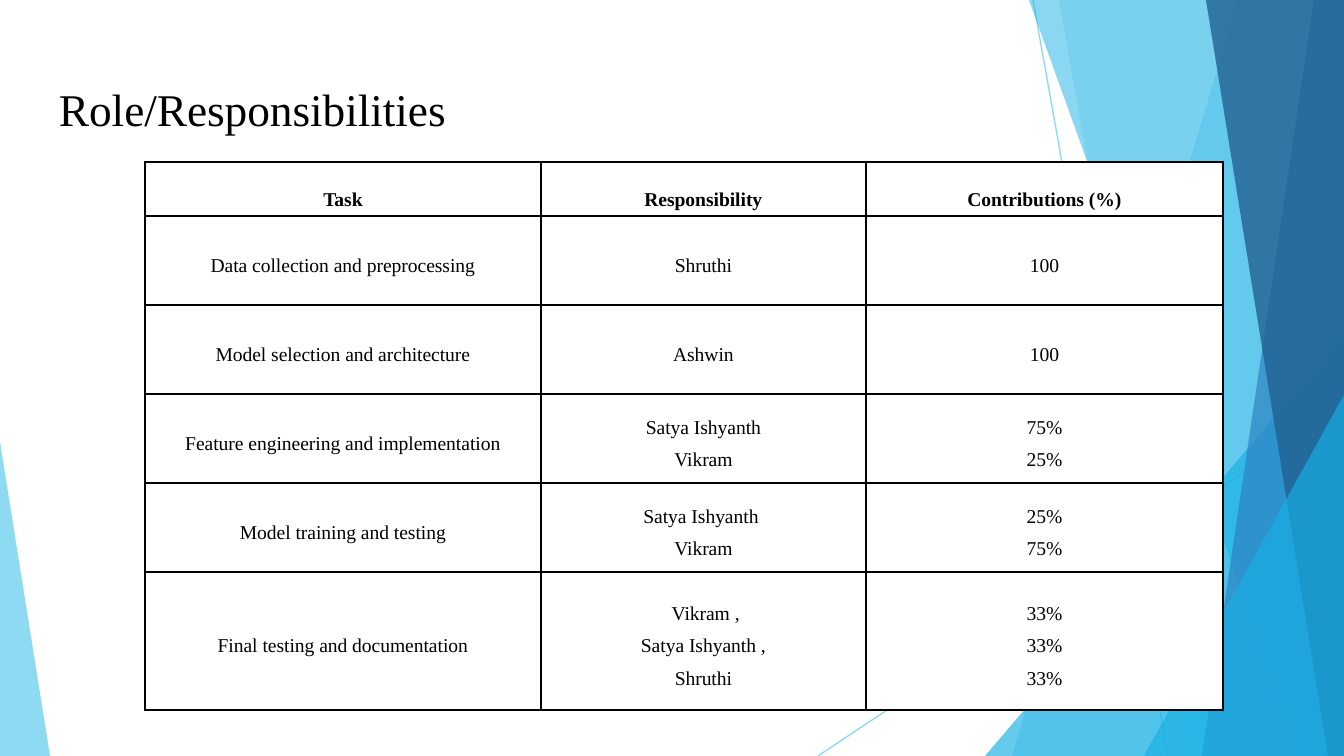
from pptx import Presentation
from pptx.dml.color import RGBColor
from pptx.enum.shapes import MSO_CONNECTOR, MSO_SHAPE
from pptx.enum.text import MSO_ANCHOR, PP_ALIGN
from pptx.oxml import parse_xml
from pptx.oxml.ns import nsdecls, qn
from pptx.util import Pt

SCALE = 914400 / 134.4
FONT = "Times New Roman"
SKY, CYAN, BLUE, NAVY = "5FCBEF", "17B0E4", "2E83C3", "226292"


def px(num):
    return round(num * SCALE)


def paint(fill, code, alpha=100):
    fill.solid()
    fill.fore_color.rgb = RGBColor.from_string(code)
    if alpha < 100:
        tint = fill._xPr.find(qn("a:solidFill"))[0]
        tint.append(parse_xml(f'<a:alpha {nsdecls("a")} val="{alpha * 1000}"/>'))


def style(para, size, bold=False):
    for run in para.runs:
        run.font.name = FONT
        run.font.size = Pt(size)
        run.font.bold = bold
        run.font.color.rgb = RGBColor.from_string("000000")


def finish(shape, code, alpha):
    paint(shape.fill, code, alpha)
    shape.line.fill.background()
    shape.shadow.inherit = False


def ray(slide, x1, y1, x2, y2):
    line = slide.shapes.add_connector(
        MSO_CONNECTOR.STRAIGHT, px(x1), px(y1), px(x2), px(y2))
    line.line.width = Pt(0.75)
    paint(line.line.fill, SKY, 70)
    line._element.spPr.append(parse_xml(f'<a:effectLst {nsdecls("a")}/>'))


def facet(slide, box, top, base, code, alpha):
    x, y, w, h = box
    form = slide.shapes.build_freeform(px(x + top), px(y), scale=1.0)
    form.add_line_segments([(px(a), px(b)) for a, b in (
        (x + w, y), (x + w, y + h), (x + base, y + h))])
    finish(form.convert_to_shape(), code, alpha)


def wedge(slide, x, y, w, h, apex, code, alpha):
    shape = slide.shapes.add_shape(
        MSO_SHAPE.ISOSCELES_TRIANGLE, px(x), px(y), px(w), px(h))
    shape.adjustments[0] = apex
    finish(shape, code, alpha)


def decor(slide, box):
    x, y, w, h = box
    ray(slide, x + 1033, y, x + 1168, y + h)
    ray(slide, x + w, y + 406, x + 818, y + h)
    facet(slide, box, 1238, 1012, SKY, 36)
    facet(slide, box, 1059, 1192, SKY, 20)
    wedge(slide, x + 985, y + 336, w - 985, h - 336, 1, CYAN, 66)
    facet(slide, box, 1029, 1301, CYAN, 50)
    facet(slide, box, 1314, 1202, BLUE, 70)
    facet(slide, box, 1206, 1328, NAVY, 80)
    wedge(slide, x + 1144, y + 395, w - 1144, h - 395, 1, CYAN, 66)
    wedge(slide, x, y + 442, 50, h - 442, 0, SKY, 70)


def head(slide, box, text):
    title = slide.shapes.title
    title.left, title.top, title.width, title.height = map(px, box)
    slide.shapes._spTree.append(title._element)
    frame = title.text_frame
    frame.text = text
    frame.word_wrap = True
    frame.vertical_anchor = MSO_ANCHOR.MIDDLE
    frame.margin_left = frame.margin_right = px(13)
    frame.margin_top = frame.margin_bottom = px(13)
    frame.paragraphs[0].alignment = PP_ALIGN.LEFT
    style(frame.paragraphs[0], 24.3)


def border(cell):
    props = cell._tc.get_or_add_tcPr()
    for spot, side in enumerate(("lnL", "lnR", "lnT", "lnB")):
        props.insert(spot, parse_xml(
            f'<a:{side} {nsdecls("a")} w="{Pt(1.5)}"><a:solidFill>'
            f'<a:srgbClr val="000000"/></a:solidFill></a:{side}>'))


def fill(cell, text, top):
    cell.margin_left = cell.margin_right = 0
    cell.margin_top = cell.margin_bottom = 0
    cell.vertical_anchor = MSO_ANCHOR.MIDDLE
    paint(cell.fill, "FFFFFF")
    border(cell)
    cell.text_frame.text = text
    for para in cell.text_frame.paragraphs:
        para.alignment = PP_ALIGN.CENTER
        para.line_spacing = 2.0 if top else 1.5
        style(para, 10.5, top)


def roles(slide, box, cols, rows, data):
    grid = slide.shapes.add_table(len(rows), len(cols), *map(px, box)).table
    for col, width in zip(grid.columns, cols):
        col.width = px(width)
    for row, tall, texts in zip(grid.rows, rows, data):
        row.height = px(tall)
        for cell, text in zip(row.cells, texts):
            fill(cell, text, texts is data[0])


DATA = [
    ("Task", "Responsibility", "Contributions (%)"),
    ("Data collection and preprocessing", "Shruthi", "100"),
    ("Model selection and architecture", "Ashwin", "100"),
    ("Feature engineering and implementation",
     "Satya Ishyanth\nVikram", "75%\n25%"),
    ("Model training and testing", "Satya Ishyanth \nVikram", "25%\n75%"),
    ("Final testing and documentation",
     " Vikram ,\nSatya Ishyanth ,\nShruthi", "33%\n33%\n33%"),
]

deck = Presentation()
deck.slide_width, deck.slide_height = px(1344), px(756)
slide = deck.slides.add_slide(deck.slide_layouts[5])
decor(slide, (0, 0, 1344, 756))
head(slide, (46, 66, 1253, 85), "Role/Responsibilities")
roles(slide, (145, 162, 1078, 548), (396, 325, 357),
      (54, 89, 89, 89, 89, 138), DATA)
deck.save("out.pptx")
